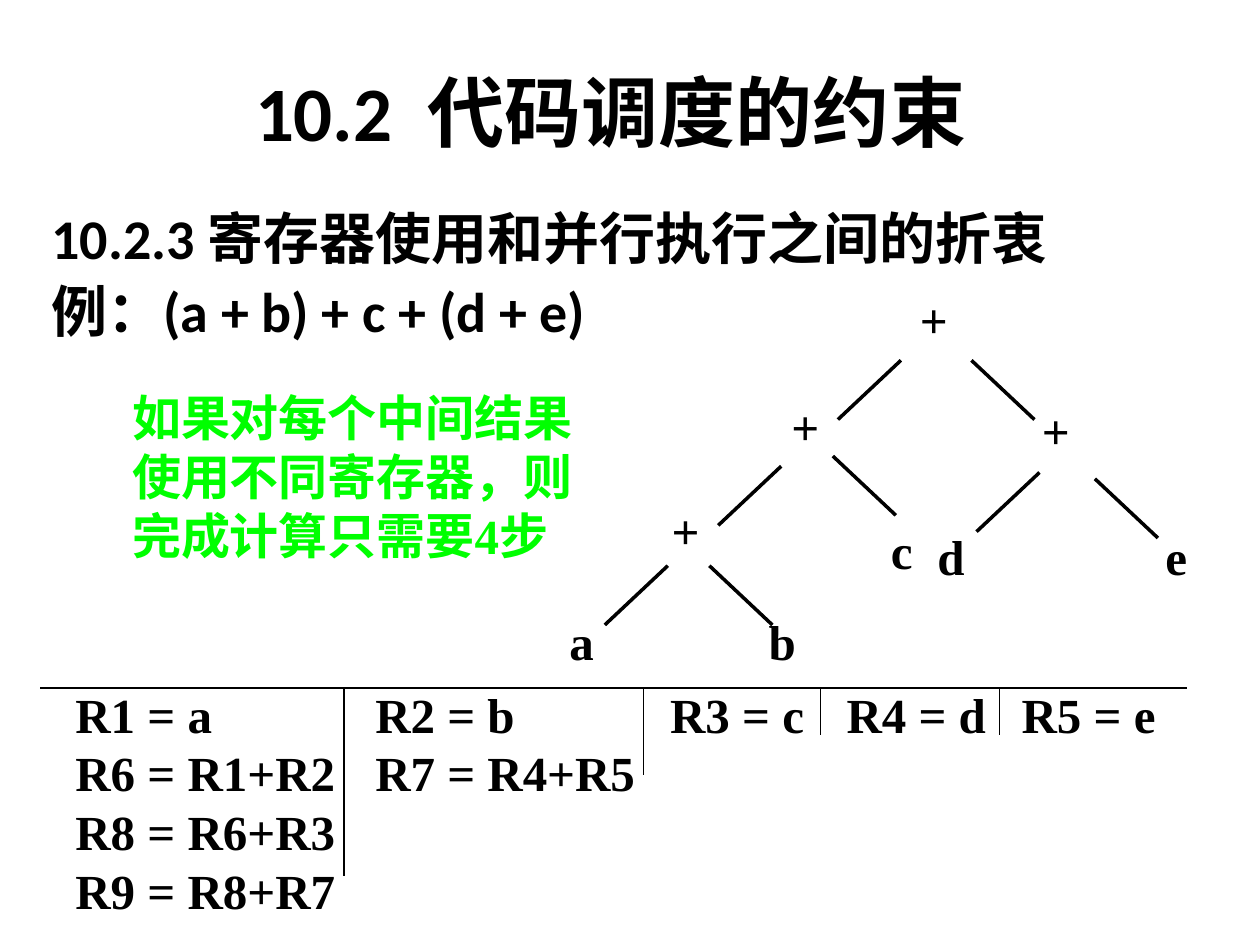
from dataclasses import dataclass

from lxml.etree import SubElement
from pptx import Presentation
from pptx.dml.color import RGBColor
from pptx.enum.shapes import MSO_CONNECTOR as Conn
from pptx.enum.text import MSO_ANCHOR as Anchor, PP_ALIGN as Align
from pptx.oxml.ns import qn
from pptx.util import Inches, Pt


@dataclass(frozen=True)
class Theme:
    background: RGBColor = RGBColor(0xFF, 0xFF, 0xFF)
    ink: RGBColor = RGBColor(0, 0, 0)
    accent: RGBColor = RGBColor(0, 0xFF, 0)
    sans: str = "Calibri"
    serif: str = "Times New Roman"
    title: int = 44
    heading: int = 32
    body: int = 28
    branch: float = 2
    rule: float = 0.75


@dataclass(frozen=True)
class Node:
    label: str
    x: float
    y: float
    width: float = 0.72


@dataclass(frozen=True)
class Branch:
    x: float
    y: float
    direction: int


@dataclass(frozen=True)
class RegisterColumn:
    x: float
    width: float
    steps: tuple[str, ...]


@dataclass(frozen=True)
class Divider:
    x: float
    bottom: float


THEME = Theme()
BRANCH_W, BRANCH_H = 0.5, 0.47
TABLE_TOP, RULE_Y = 5.38, 5.46

NODES = (
    Node("+", 7.24, 2.27),
    Node("+", 6.22, 3.12),
    Node("+", 8.21, 3.15),
    Node("+", 5.27, 3.94),
    Node("a", 4.46, 4.82),
    Node("b", 6.04, 4.82),
    Node("c", 7.01, 4.10),
    Node("d", 7.38, 4.15),
    Node("e", 9.19, 4.15, 0.43),
)
BRANCHES = (
    Branch(7.15, 2.86, -1),
    Branch(7.71, 2.86, 1),
    Branch(6.20, 3.70, -1),
    Branch(6.61, 3.62, 1),
    Branch(8.25, 3.75, -1),
    Branch(8.69, 3.80, 1),
    Branch(5.30, 4.49, -1),
    Branch(5.63, 4.49, 1),
)
COLUMNS = (
    RegisterColumn(0.50, 2.31, ("R1 = a", "R6 = R1+R2", "R8 = R6+R3", "R9 = R8+R7")),
    RegisterColumn(2.88, 2.31, ("R2 = b", "R7 = R4+R5")),
    RegisterColumn(5.22, 2.31, ("R3 = c",)),
    RegisterColumn(6.62, 2.31, ("R4 = d",)),
    RegisterColumn(8.01, 1.35, ("R5 = e",)),
)
DIVIDERS = (Divider(2.73, 6.95), Divider(5.11, 6.15), Divider(6.51, 5.83), Divider(7.93, 5.83))


def add_text(slide, text, x, y, w, h, *, size=THEME.body, font=THEME.serif,
             color=THEME.ink, align=Align.LEFT, anchor=Anchor.TOP,
             inset=(0.1, 0.05), gap=0):
    tf = slide.shapes.add_textbox(Inches(x), Inches(y), Inches(w), Inches(h)).text_frame
    tf.word_wrap = True
    tf.vertical_anchor = anchor
    tf.margin_left = tf.margin_right = Inches(inset[0])
    tf.margin_top = tf.margin_bottom = Inches(inset[1])
    for i, line in enumerate(text.split("\n")):
        p = tf.add_paragraph() if i else tf.paragraphs[0]
        p.alignment = align
        if i:
            p.space_before = Pt(gap)
        r = p.add_run()
        r.text = line
        r.font.name = font
        r.font.size = Pt(size)
        r.font.bold = True
        r.font.color.rgb = color
    return tf


def add_line(slide, x1: float, y1: float, x2: float, y2: float, width: float) -> None:
    line = slide.shapes.add_connector(
        Conn.STRAIGHT, Inches(x1), Inches(y1), Inches(x2), Inches(y2))
    line.line.color.rgb = THEME.ink
    line.line.width = Pt(width)
    SubElement(line._element.spPr, qn("a:effectLst"))


def draw_node(slide, node: Node) -> None:
    add_text(slide, node.label, node.x, node.y, node.width, 0.64, inset=(0.06, 0.03))


def draw_branch(slide, branch: Branch) -> None:
    add_line(slide, branch.x, branch.y, branch.x + branch.direction * BRANCH_W,
             branch.y + BRANCH_H, THEME.branch)


def draw_column(slide, column: RegisterColumn) -> None:
    add_text(slide, "\n".join(column.steps), column.x, TABLE_TOP, column.width, 1.57)


def draw_divider(slide, divider: Divider) -> None:
    add_line(slide, divider.x, RULE_Y, divider.x, divider.bottom, THEME.rule)


def main() -> None:
    prs = Presentation()
    prs.slide_width, prs.slide_height = Inches(10), Inches(7.5)
    s = prs.slides.add_slide(prs.slide_layouts[6])
    s.background.fill.solid()
    s.background.fill.fore_color.rgb = THEME.background

    add_text(s, "10.2  代码调度的约束", 0.35, 0.25, 9, 1.25, size=THEME.title,
             font=THEME.sans, align=Align.CENTER, anchor=Anchor.MIDDLE)
    add_text(s, "10.2.3 寄存器使用和并行执行之间的折衷\n例：(a + b) + c + (d + e)",
             0.31, 1.57, 9.37, 1.4, size=THEME.heading, font=THEME.sans, gap=3)
    for node in NODES:
        draw_node(s, node)
    for branch in BRANCHES:
        draw_branch(s, branch)
    add_text(s, "如果对每个中间结果使用不同寄存器，则完成计算只需要4步",
             0.95, 3.11, 3.85, 1.34, color=THEME.accent, anchor=Anchor.MIDDLE)
    for column in COLUMNS:
        draw_column(s, column)
    add_line(s, 0.32, RULE_Y, 9.42, RULE_Y, THEME.rule)
    for divider in DIVIDERS:
        draw_divider(s, divider)
    prs.save("out.pptx")


if __name__ == "__main__":
    main()
